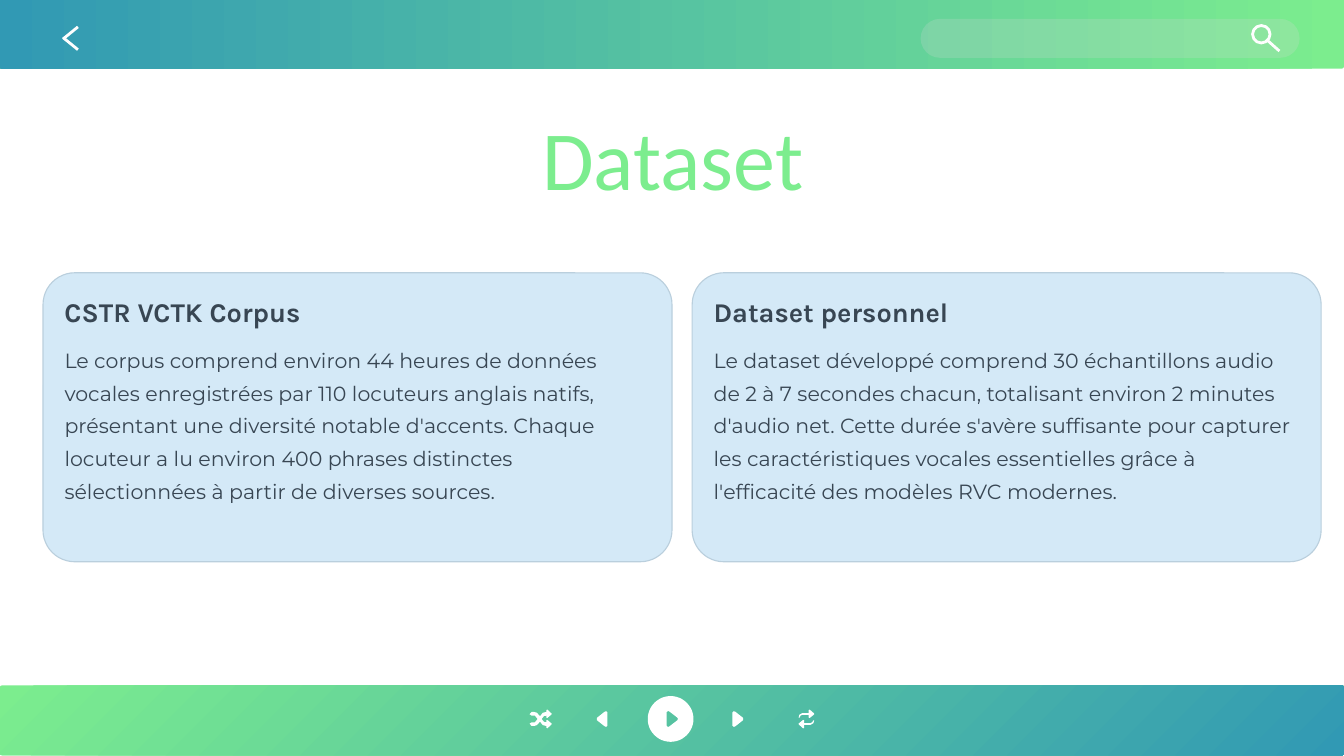
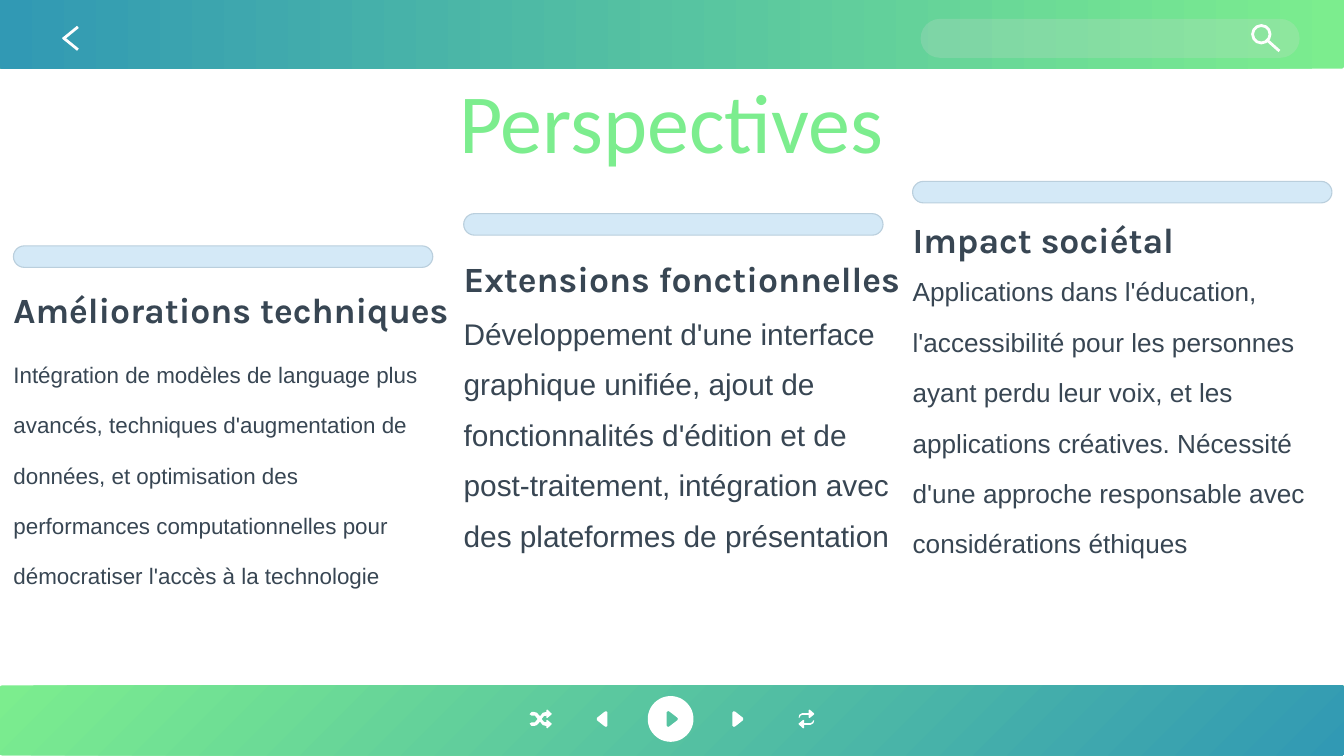
from math import cos, pi, sin

from lxml.etree import SubElement
from pptx import Presentation
from pptx.dml.color import RGBColor
from pptx.enum.shapes import MSO_CONNECTOR, MSO_SHAPE
from pptx.enum.text import MSO_ANCHOR, MSO_AUTO_SIZE, PP_ALIGN
from pptx.oxml.ns import qn
from pptx.util import Inches, Pt

GREEN, BLUE = "7CED8E", "3199B4"
PALE, EDGE, INK = "D4E9F7", "BACFDD", "384653"
WHITE, ICON, GREY = "FFFFFF", "FEFEFE", "D9D9D9"

TITLE = {"name": "Calibri", "size": Pt(45), "bold": False}
CARD_HEADING = {"name": "Karla", "size": Pt(14.5), "bold": True}
CARD_BODY = {"name": "Montserrat", "size": Pt(11)}
COLUMN_HEADING = {"name": "Karla", "size": Pt(19), "bold": True}
COLUMN_BODY = {"name": "Arial"}

CARDS = [
    (0.32, "CSTR VCTK Corpus",
     "Le corpus comprend environ 44 heures de données vocales enregistrées par "
     "110 locuteurs anglais natifs, présentant une diversité notable d'accents. "
     "Chaque locuteur a lu environ 400 phrases distinctes sélectionnées à partir "
     "de diverses sources."),
    (5.15, "Dataset personnel",
     "Le dataset développé comprend 30 échantillons audio de 2 à 7 secondes "
     "chacun, totalisant environ 2 minutes d'audio net. Cette durée s'avère "
     "suffisante pour capturer les caractéristiques vocales essentielles grâce à "
     "l'efficacité des modèles RVC modernes."),
]

# left, heading drop, body drop, body width, body size, heading, body
COLUMNS = [
    (0.1, 0.24, 0.68, 3.11, 12, "Améliorations techniques",
     "Intégration de modèles de language plus avancés, techniques d'augmentation "
     "de données, et optimisation des performances computationnelles pour "
     "démocratiser l'accès à la technologie"),
    (3.45, 0.25, 0.65, 3.23, 16, "Extensions fonctionnelles",
     "Développement d'une interface graphique unifiée, ajout de fonctionnalités "
     "d'édition et de post-traitement, intégration avec des plateformes de "
     "présentation"),
    (6.79, 0.2, 0.56, 3.11, 14, "Impact sociétal",
     "Applications dans l'éducation, l'accessibilité pour les personnes ayant "
     "perdu leur voix, et les applications créatives. Nécessité d'une approche "
     "responsable avec considérations éthiques"),
]

# Icon outlines, in hundredths of an inch from the icon's centre
PREVIOUS = [(2, -5.5), (3, -5.8), (4, -5), (4, 5), (3, 5.8), (2, 5.5),
            (-4, 0.8), (-4, -0.8)]
PLAY = [(-3, -5), (-2, -6), (-1, -5.6), (5, -1), (5.5, 0), (5, 1),
        (-1, 5.6), (-2, 6), (-3, 5)]
REPEAT = [(2.4, -7), (5.8, -4), (5.8, -3.4), (2.4, -0.7), (1.7, -1), (1.7, -3.1),
          (-3, -3.1), (-4.4, -2.4), (-5, -1), (-5.8, -1), (-5.2, -3.2),
          (-3, -4.4), (1.7, -4.4), (1.7, -6.6)]
SHUFFLE_TOP = [(-8, -3.5), (-6.5, -5.2), (-4.5, -5.2), (-2.5, -4.6), (-0.2, -2),
               (1.8, -4.6), (4.5, -5.2), (4.5, -6.5), (5.2, -7), (8.4, -4),
               (8.4, -3.4), (5.2, -0.7), (4.5, -1), (4.5, -2.4), (2.8, -2.2),
               (1, 0)]
SHUFFLE_BOTTOM = [(x, -y) for x, y in reversed(SHUFFLE_TOP[1:-1])]
SHUFFLE = SHUFFLE_TOP + SHUFFLE_BOTTOM + [
    (-8, 3.5), (-6.5, 2.5), (-4, 2.5), (-2, 0), (-4, -2.5), (-6.5, -2.5)]
DISC = [(17 * cos(step * pi / 24), 17 * sin(step * pi / 24)) for step in range(48)]


def colour(code):
    return RGBColor.from_string(code)


def turn(outline, x_sign, y_sign):
    return [(x * x_sign, y * y_sign) for x, y in outline]


def add_form(page, kind, box, fill=None, line=None, weight=0.6, corner=None):
    """Add a preset shape; box is left, top, width, height in inches."""
    form = page.shapes.add_shape(kind, *map(Inches, box))
    form.shadow.inherit = False
    if corner is not None:
        form.adjustments[0] = corner
    if fill:
        form.fill.solid()
        form.fill.fore_color.rgb = colour(fill)
    else:
        form.fill.background()
    if line:
        form.line.color.rgb = colour(line)
        form.line.width = Pt(weight)
    else:
        form.line.fill.background()
    return form


def add_band(page, top, angle):
    band = add_form(page, MSO_SHAPE.ROUNDED_RECTANGLE, (0, top, 10, 0.52), corner=0.03)
    band.fill.gradient()
    band.fill.gradient_angle = angle
    for stop, code in zip(band.fill.gradient_stops, (GREEN, BLUE)):
        stop.color.rgb = colour(code)


def add_stroke(page, *ends):
    stroke = page.shapes.add_connector(MSO_CONNECTOR.STRAIGHT, *map(Inches, ends))
    stroke.line.color.rgb = colour(ICON)
    stroke.line.width = Pt(1.5)
    SubElement(stroke._element.spPr, qn("a:effectLst"))


def add_icon(page, x, y, *outlines):
    """Draw closed outlines as one white shape; a second outline cuts a hole."""
    builder = None
    for outline in outlines:
        points = [(Inches(x + dx / 100), Inches(y + dy / 100)) for dx, dy in outline]
        if builder is None:
            builder = page.shapes.build_freeform(*points[0])
        else:
            builder.move_to(*points[0])
        builder.add_line_segments(points[1:], close=True)
    icon = builder.convert_to_shape()
    icon.shadow.inherit = False
    icon.fill.solid()
    icon.fill.fore_color.rgb = colour(WHITE)
    icon.line.fill.background()


def write(frame, text, style, code, spacing=None, wrap=True):
    frame.auto_size = MSO_AUTO_SIZE.NONE
    frame.word_wrap = wrap
    frame.vertical_anchor = MSO_ANCHOR.TOP
    para = frame.paragraphs[0]
    if spacing:
        para.line_spacing = Pt(spacing)
    span = para.add_run()
    span.text = text
    for key, value in style.items():
        setattr(span.font, key, value)
    span.font.color.rgb = colour(code)
    return para


def add_text(page, box, text, style, spacing, wrap=True):
    frame = page.shapes.add_textbox(*map(Inches, box)).text_frame
    for side in ("left", "top", "right", "bottom"):
        setattr(frame, f"margin_{side}", 0)
    write(frame, text, style, INK, spacing, wrap)


def add_title(page, box, text):
    title = page.shapes.title
    for side, length in zip(("left", "top", "width", "height"), box):
        setattr(title, side, Inches(length))
    frame = title.text_frame
    frame.margin_top = 0
    frame.margin_left = frame.margin_right = frame.margin_bottom = Inches(0.1)
    write(frame, text, TITLE, GREEN).alignment = PP_ALIGN.CENTER


def add_search_bar(page, left, top):
    bar = add_form(page, MSO_SHAPE.ROUNDED_RECTANGLE, (left, top, 2.82, 0.29),
                   GREY, corner=0.5)
    tint = bar._element.spPr.find(qn("a:solidFill"))[0]
    SubElement(tint, qn("a:alpha"), val="21000")
    add_form(page, MSO_SHAPE.OVAL, (left + 2.47, top + 0.05, 0.13, 0.13),
             line=ICON, weight=1.5)
    add_stroke(page, left + 2.58, top + 0.16, left + 2.67, top + 0.24)


def add_header(page):
    add_band(page, -0.01, 180)
    add_search_bar(page, 6.85, 0.14)
    for start, end in ((0.29, 0.2), (0.28, 0.37)):
        add_stroke(page, 0.47, start, 0.58, end)


def add_player(page):
    add_band(page, 5.1, 315)
    middle = 5.35
    add_icon(page, 4.02, middle, SHUFFLE)
    add_icon(page, 4.48, middle, PREVIOUS)
    add_icon(page, 4.99, middle, DISC, PLAY)
    add_icon(page, 5.49, middle, turn(PREVIOUS, -1, 1))
    for sign in (1, -1):
        add_icon(page, 6, middle, turn(REPEAT, sign, sign))


def add_page(deck, title, title_box):
    page = deck.slides.add_slide(deck.slide_layouts[5])
    add_header(page)
    add_player(page)
    add_title(page, title_box, title)
    return page


def add_card(page, left, top, heading, body):
    add_form(page, MSO_SHAPE.ROUNDED_RECTANGLE, (left, top, 4.68, 2.15),
             PALE, EDGE, corner=0.11)
    inner = left + 0.16
    add_text(page, (inner, top + 0.16, 2.03, 0.25), heading, CARD_HEADING, 18, False)
    add_text(page, (inner, top + 0.5, 4.35, 1.23), body, CARD_BODY, 17.5)


def add_column(page, top, left, heading_drop, body_drop, width, size, heading, body):
    add_form(page, MSO_SHAPE.ROUNDED_RECTANGLE, (left, top, 3.12, 0.16),
             PALE, EDGE, corner=0.5)
    add_text(page, (left, top + heading_drop, 3.11, 0.32), heading,
             COLUMN_HEADING, 28, False)
    add_text(page, (left, top + body_drop, width, 1.9), body,
             {**COLUMN_BODY, "size": Pt(size)}, 27)


def main():
    deck = Presentation()
    deck.slide_width = Inches(10)
    deck.slide_height = deck.slide_width * 9 // 16

    dataset = add_page(deck, "Dataset", (3.24, 0.79, 3.53, 0.76))
    for left, heading, body in CARDS:
        add_card(dataset, left, 2.03, heading, body)

    outlook = add_page(deck, "Perspectives", (2, 0.52, 5.99, 0.76))
    for index, column in enumerate(COLUMNS):
        add_column(outlook, 1.83 - 0.24 * index, *column)

    deck.save("out.pptx")


if __name__ == "__main__":
    main()
